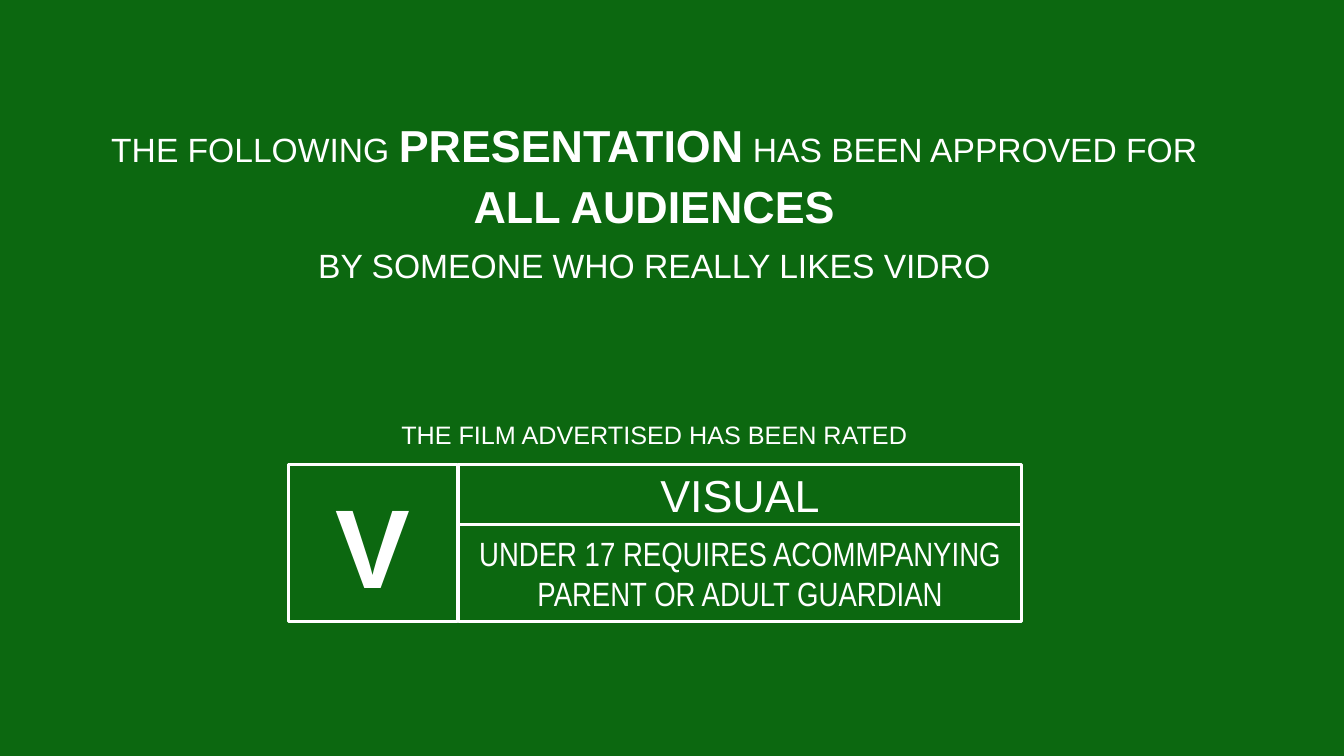
"""Build a film-rating style approval slide."""
from pptx import Presentation
from pptx import util as u
from pptx.dml.color import RGBColor
from pptx.enum import shapes, text

GREEN, WHITE = "0C6810", "FFFFFF"


def rgb(value):
    return RGBColor.from_string(value)


def add_box(parent, box, runs, font="Arial", outlined=False):
    sp = parent.add_shape(shapes.MSO_SHAPE.RECTANGLE, *[u.Inches(v) for v in box])
    sp.shadow.inherit = False
    if outlined:
        sp.fill.background()
        sp.line.color.rgb = rgb(WHITE)
        sp.line.width = u.Pt(2.25)
    else:
        sp.fill.solid()
        sp.fill.fore_color.rgb = rgb(GREEN)
        sp.line.fill.background()
    tf = sp.text_frame
    tf.word_wrap = True
    tf.vertical_anchor = text.MSO_ANCHOR.MIDDLE
    p = tf.paragraphs[0]
    p.alignment = text.PP_ALIGN.CENTER
    p.font.name = font
    p.font.color.rgb = rgb(WHITE)
    for words, size, bold in runs:
        r = p.add_run()
        r.text = words
        r.font.name = font
        r.font.size = u.Pt(size)
        r.font.bold = bold
        r.font.color.rgb = rgb(WHITE)


prs = Presentation()
prs.slide_width, prs.slide_height = u.Inches(13.33), u.Inches(7.5)
s = prs.slides.add_slide(prs.slide_layouts[6])
s.background.fill.solid()
s.background.fill.fore_color.rgb = rgb(GREEN)

banners = [
    (1.14, [("THE FOLLOWING ", 24, False), ("PRESENTATION", 32, True),
            (" HAS BEEN APPROVED FOR", 24, False)]),
    (1.74, [("ALL AUDIENCES", 32, True)]),
    (2.33, [("BY SOMEONE WHO REALLY LIKES VIDRO", 24, False)]),
    (4.01, [("THE FILM ADVERTISED HAS BEEN RATED", 18, False)]),
]
for top, runs in banners:
    add_box(s.shapes, (0.94, top, 11.1, 0.59), runs)

rating = s.shapes.add_group_shape().shapes
cells = [
    ((2.86, 4.61, 1.68, 1.56), ("V", 80, True), "Arial"),
    ((4.55, 4.61, 5.58, 0.59), ("VISUAL", 32, False), "Arial"),
    ((4.55, 5.2, 5.58, 0.97),
     ("UNDER 17 REQUIRES ACOMMPANYING PARENT OR ADULT GUARDIAN", 24, False), "Arial Narrow"),
]
for box, run, font in cells:
    add_box(rating, box, [run], font, outlined=True)

prs.save("out.pptx")
